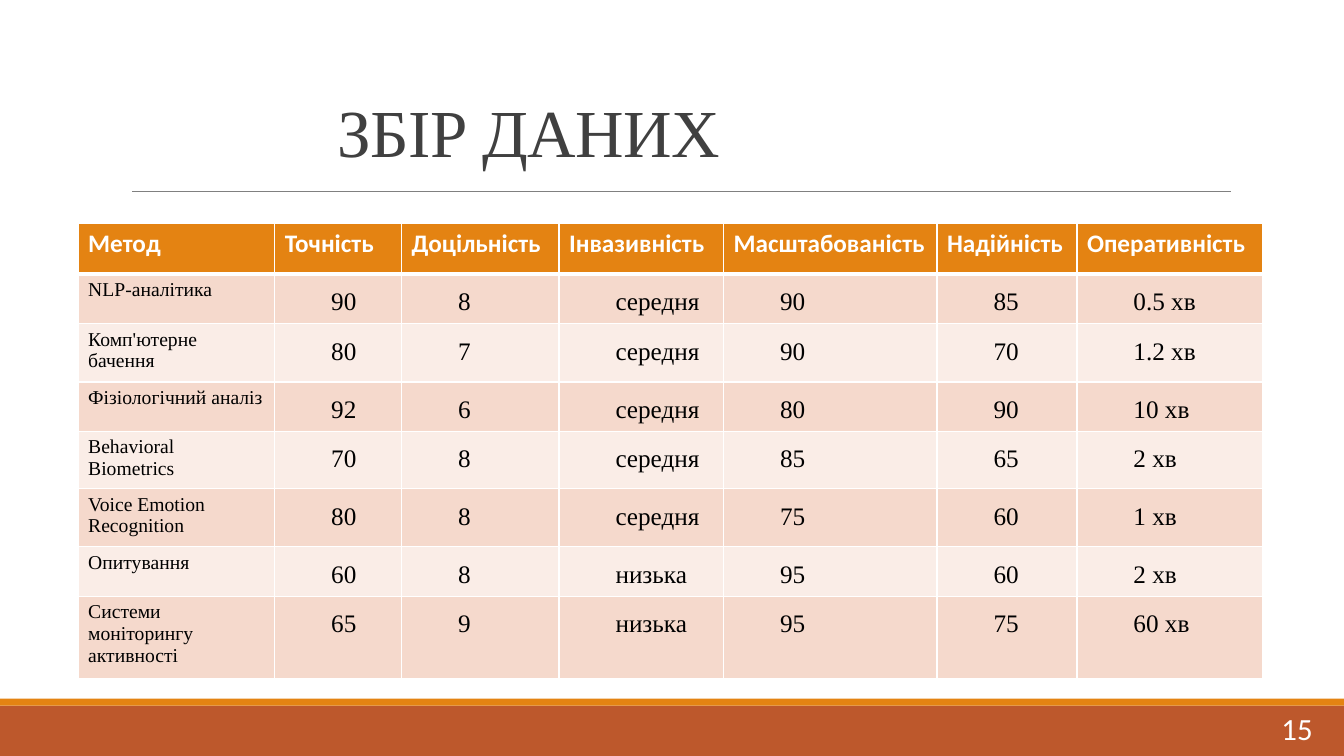
from lxml import etree
from pptx import Presentation
from pptx.dml.color import RGBColor
from pptx.enum import shapes, text
from pptx.oxml import ns
from pptx.util import Pt

WHITE = RGBColor(0xFF, 0xFF, 0xFF)
BLACK = RGBColor(0, 0, 0)
DARK = RGBColor(0x40, 0x40, 0x40)
GREY = RGBColor(0x80, 0x80, 0x80)
ORANGE = RGBColor(0xE4, 0x83, 0x12)
RUST = RGBColor(0xBD, 0x58, 0x2C)
BANDS = [RGBColor(0xFA, 0xED, 0xE7), RGBColor(0xF5, 0xD9, 0xCC)]
SERIF, SANS = "Times New Roman", "Calibri"

TITLE = "ЗБІР ДАНИХ"
NUMBER = "15"
ROWS = [
    ("Метод", "Точність", "Доцільність", "Інвазивність",
     "Масштабованість", "Надійність", "Оперативність"),
    ("NLP-аналітика", "90", "8", "середня", "90", "85", "0.5 хв"),
    ("Комп'ютерне бачення", "80", "7", "середня", "90", "70", "1.2 хв"),
    ("Фізіологічний аналіз", "92", "6", "середня", "80", "90", "10 хв"),
    ("Behavioral Biometrics", "70", "8", "середня", "85", "65", "2 хв"),
    ("Voice Emotion Recognition", "80", "8", "середня", "75", "60", "1 хв"),
    ("Опитування", "60", "8", "низька", "95", "60", "2 хв"),
    ("Системи моніторингу активності", "65", "9", "низька", "95", "75", "60 хв"),
]
WIDTHS = [140.4, 90.6, 112.5, 117.5, 152.5, 100, 133]
HEIGHTS = [36.5, 35.4, 41.6, 35.4, 35.4, 41.6, 35.4, 58.4]
BARS = [((0, 504, 960, 36), RUST), ((0, 499, 960, 5), ORANGE)]
HEAD = dict(size=Pt(18), name=SANS, bold=True, color=WHITE)
LABEL = dict(size=Pt(14), name=SERIF, bold=False, color=BLACK)
VALUE = dict(LABEL, size=Pt(18))
INSETS = dict(margin_left=Pt(5), margin_right=Pt(5), margin_top=0, margin_bottom=0)


def points(box):
    return [Pt(n) for n in box]


def style(font, form):
    for key, val in form.items():
        if key == "color":
            font.color.rgb = val
        else:
            setattr(font, key, val)


def write(frame, words, form):
    para = frame.paragraphs[0]
    run = para.add_run()
    run.text = words
    style(run.font, form)
    return para


def border(cell, row):
    props = cell._tc.get_or_add_tcPr()
    thick = {"L": 1, "R": 1, "T": 3 if row == 1 else 1, "B": 1 if row else 3}
    for side, size in thick.items():
        line = etree.SubElement(props, ns.qn("a:ln" + side), w=str(Pt(size)))
        fill = etree.SubElement(line, ns.qn("a:solidFill"))
        etree.SubElement(fill, ns.qn("a:srgbClr"), val=str(WHITE))


def fill_cell(cell, row, col, words):
    border(cell, row)
    cell.fill.solid()
    cell.fill.fore_color.rgb = BANDS[row % 2] if row else ORANGE
    form = LABEL if col == 0 else VALUE
    para = write(cell.text_frame, words, form if row else HEAD)
    if row and col:
        for key, val in INSETS.items():
            setattr(cell, key, val)
        para.line_spacing = 1.5
        para._p.get_or_add_pPr().set("indent", str(Pt(35.4)))


def add_grid(slide):
    box = points((55.8, 159.4, sum(WIDTHS), sum(HEIGHTS)))
    grid = slide.shapes.add_table(len(ROWS), len(WIDTHS), *box).table
    for col, wide in zip(grid.columns, WIDTHS):
        col.width = Pt(wide)
    for row, high in zip(grid.rows, HEIGHTS):
        row.height = Pt(high)
    for r, row in enumerate(ROWS):
        for c, words in enumerate(row):
            fill_cell(grid.cell(r, c), r, c, words)


def add_frame(slide):
    for box, color in BARS:
        bar = slide.shapes.add_shape(shapes.MSO_SHAPE.RECTANGLE, *points(box))
        bar.shadow.inherit = False
        bar.fill.solid()
        bar.fill.fore_color.rgb = color
        bar.line.fill.background()
    rule = slide.shapes.add_connector(
        shapes.MSO_CONNECTOR.STRAIGHT, *points((94.5, 136.8, 879, 136.8)))
    rule.line.color.rgb = GREY
    rule.line.width = Pt(0.5)
    etree.SubElement(rule._element.spPr, ns.qn("a:effectLst"))


def add_title(slide):
    title = slide.shapes.title
    title.left, title.top, title.width, title.height = points((234, 62.6, 574.6, 63.4))
    frame = title.text_frame
    frame.word_wrap = True
    frame.auto_size = text.MSO_AUTO_SIZE.NONE
    frame.vertical_anchor = text.MSO_ANCHOR.BOTTOM
    para = write(frame, TITLE, dict(size=Pt(48), name=SERIF, color=DARK))
    para.alignment = text.PP_ALIGN.LEFT
    para.line_spacing = 0.85
    para.runs[0]._r.get_or_add_rPr().set("spc", "-50")


def add_number(slide):
    frame = slide.shapes.add_textbox(*points((841.7, 505.4, 103, 28.8))).text_frame
    frame.word_wrap = True
    frame.vertical_anchor = text.MSO_ANCHOR.MIDDLE
    para = write(frame, NUMBER, dict(size=Pt(22), name=SANS, color=WHITE))
    para.alignment = text.PP_ALIGN.RIGHT


def main():
    deck = Presentation()
    deck.slide_width, deck.slide_height = Pt(960), Pt(540)
    slide = deck.slides.add_slide(deck.slide_layouts[5])
    for add in (add_frame, add_title, add_number, add_grid):
        add(slide)
    deck.save("out.pptx")


if __name__ == "__main__":
    main()
